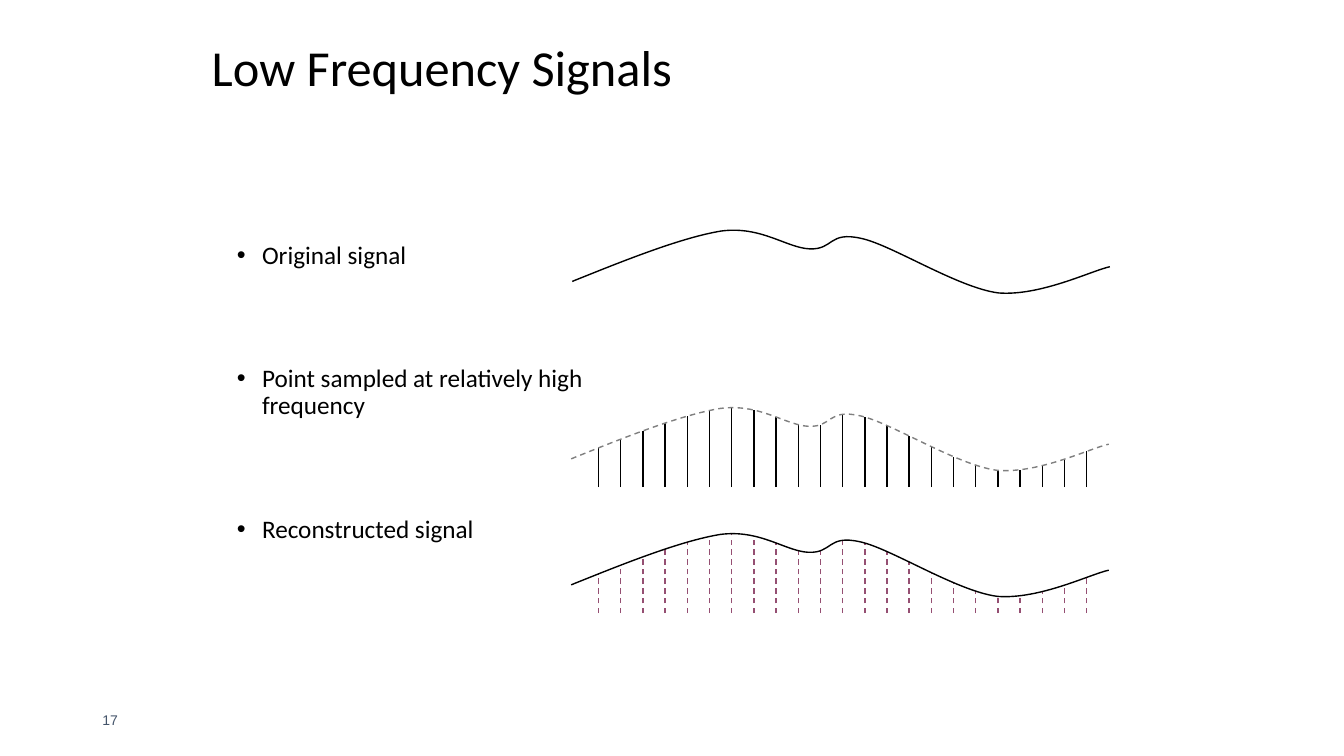
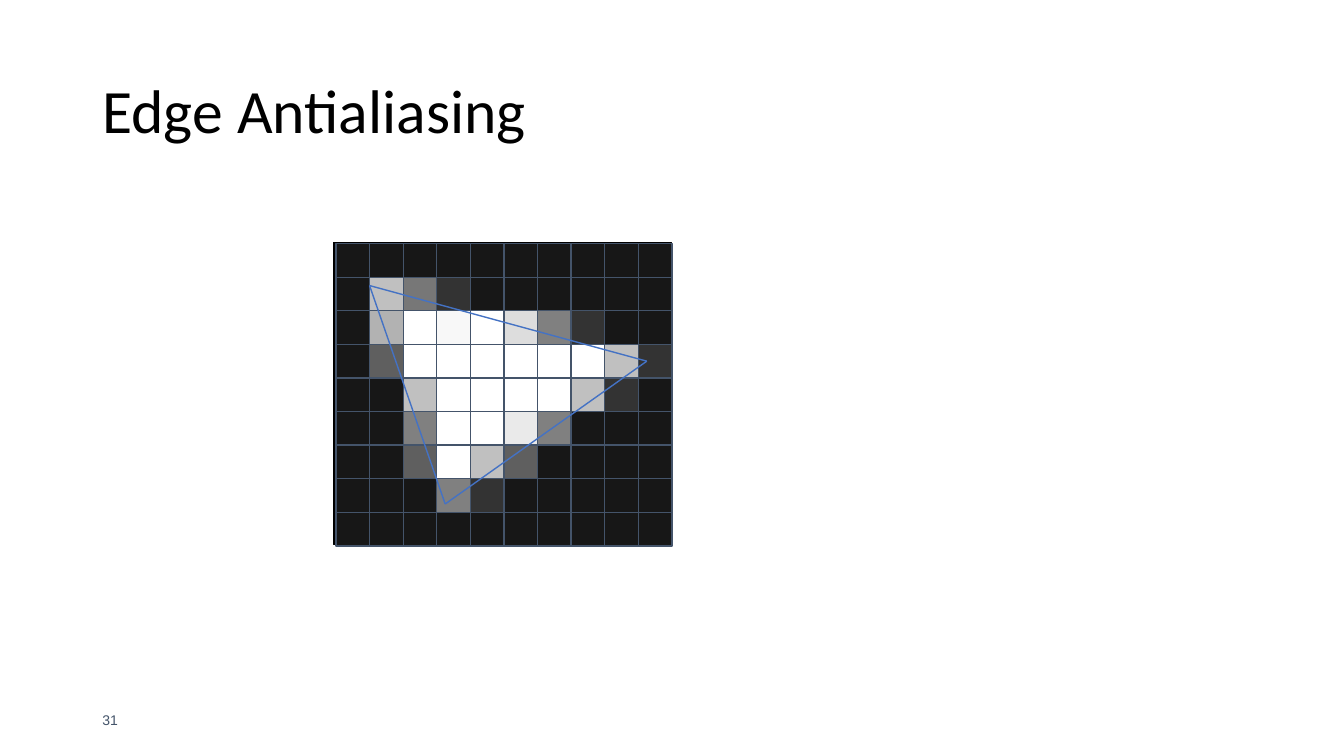
from dataclasses import dataclass
from itertools import chain, combinations, pairwise

from lxml import etree
from pptx import Presentation
from pptx.dml.color import RGBColor
from pptx.enum.dml import MSO_LINE
from pptx.enum.shapes import MSO_CONNECTOR, MSO_SHAPE
from pptx.enum.text import MSO_ANCHOR, MSO_AUTO_SIZE, PP_ALIGN
from pptx.oxml.ns import qn
from pptx.util import Emu, Pt

PX = 9525
LEFT = PP_ALIGN.LEFT
MIDDLE, TOP = MSO_ANCHOR.MIDDLE, MSO_ANCHOR.TOP
NO_AUTOFIT = MSO_AUTO_SIZE.NONE
DASH = MSO_LINE.DASH
RECTANGLE = MSO_SHAPE.RECTANGLE
STRAIGHT = MSO_CONNECTOR.STRAIGHT


@dataclass(frozen=True)
class Theme:
    font: str = "Calibri"
    number_font: str = "Arial"
    ink: str = "000000"
    slate: str = "44546A"
    guide: str = "808080"
    sample: str = "954F72"
    edge: str = "4472C4"
    pixel_off: str = "171717"
    body_size: int = 18
    number_size: int = 10
    line_spacing: float = 0.9
    body_gap: float = 68.7


THEME = Theme()

SLIDE_SIZE = (1280, 720)
NUMBER_BOX = (88, 667, 288, 38)
TITLE_AND_BODY, TITLE_ONLY = 1, 5

SIGNALS = {
    "title": "Low Frequency Signals",
    "title_box": (192, 30, 880, 74),
    "title_size": 36,
    "number": "17",
}
BULLETS = [
    "Original signal",
    "Point sampled at relatively high frequency",
    "Reconstructed signal",
]
BULLET_BOX = (216, 226, 373, 454)
BULLET_INDENT = 24

WAVE_START = (0, 53)
WAVE_CURVES = [
    ((52, 32), (105, 11), (142, 5)),
    ((180, 0), (204, 21), (226, 22)),
    ((249, 23), (244, 5), (275, 12)),
    ((304, 18), (367, 59), (406, 64)),
    ((446, 67), (494, 43), (512, 39)),
]
CURVE_STEPS = 24
WAVES = [
    {"origin": (545, 215), "color": THEME.ink},
    {"origin": (544, 384), "color": THEME.guide, "dash": DASH,
     "stems": {"color": THEME.ink}},
    {"origin": (544, 504), "color": THEME.ink,
     "stems": {"color": THEME.sample, "dash": DASH}},
]
STEM_COUNT, STEM_FIRST, STEM_LAST, STEM_BASE = 23, 26, 491, 80

ANTIALIASING = {
    "title": "Edge Antialiasing",
    "title_box": (88, 38, 1104, 140),
    "title_size": 44,
    "number": "31",
}
GRID_LEFT, GRID_TOP = 320, 232
COLUMNS, ROWS, CELL = 10, 9, 32
BACKDROP_BOX = (318, 231, 322, 288)
PIXEL_ROWS = {
    1: (1, "C0 77 33"),
    2: (1, "B2 FF F8 FF DD 80 33"),
    3: (1, "5F FF FF FF FF FF FF C0 33"),
    4: (2, "C0 FF FF FF FF C0 33"),
    5: (2, "80 FF FF EA 80"),
    6: (2, "5F FF C0 5F"),
    7: (3, "80 33"),
}
TRIANGLE = [(352, 272), (616, 344), (424, 480)]


def px(length):
    return Emu(round(length * PX))


def rgb(color):
    return RGBColor.from_string(color)


def place(shape, box):
    shape.left, shape.top, shape.width, shape.height = map(px, box)


def style_line(line, color, dash=None, width=1):
    line.color.rgb = rgb(color)
    line.width = Pt(width)
    if dash:
        line.dash_style = dash


def style_frame(frame, anchor):
    frame.word_wrap = True
    frame.auto_size = NO_AUTOFIT
    frame.vertical_anchor = anchor


def style_paragraph(paragraph, size, font=THEME.font, color=THEME.ink):
    paragraph.alignment = LEFT
    paragraph.font.size = Pt(size)
    paragraph.font.name = font
    paragraph.font.color.rgb = rgb(color)


def add_bullet(paragraph):
    properties = paragraph._p.get_or_add_pPr()
    properties.set("marL", str(px(BULLET_INDENT)))
    properties.set("indent", str(-px(BULLET_INDENT)))
    etree.SubElement(properties, qn("a:buFont"), typeface="Arial")
    etree.SubElement(properties, qn("a:buChar"), char="•")


def add_line(slide, start, end, color, dash=None):
    connector = slide.shapes.add_connector(STRAIGHT, *map(px, (*start, *end)))
    style_line(connector.line, color, dash)
    etree.SubElement(connector._element.spPr, qn("a:effectLst"))


def add_rectangle(slide, box, fill, line=None, width=1):
    shape = slide.shapes.add_shape(RECTANGLE, *map(px, box))
    shape.shadow.inherit = False
    shape.fill.solid()
    shape.fill.fore_color.rgb = rgb(fill)
    if line:
        style_line(shape.line, line, width=width)
    else:
        shape.line.fill.background()


def add_slide(presentation, layout, content):
    slide = presentation.slides.add_slide(presentation.slide_layouts[layout])
    title = slide.shapes.title
    place(title, content["title_box"])
    title.text_frame.text = content["title"]
    style_frame(title.text_frame, MIDDLE)
    paragraph = title.text_frame.paragraphs[0]
    style_paragraph(paragraph, content["title_size"])
    paragraph.line_spacing = THEME.line_spacing

    number = slide.shapes.add_textbox(*map(px, NUMBER_BOX)).text_frame
    number.text = content["number"]
    style_frame(number, MIDDLE)
    style_paragraph(number.paragraphs[0], THEME.number_size, THEME.number_font, THEME.slate)
    return slide


def add_bullets(slide):
    body = slide.placeholders[1]
    place(body, BULLET_BOX)
    frame = body.text_frame
    frame.text = "\n".join(BULLETS)
    style_frame(frame, TOP)
    for index, paragraph in enumerate(frame.paragraphs):
        paragraph.line_spacing = THEME.line_spacing
        paragraph.space_before = Pt(THEME.body_gap if index else 0)
        add_bullet(paragraph)
        style_paragraph(paragraph, THEME.body_size)


def bezier(values, t):
    a, b, c, d = values
    u = 1 - t
    return a * u**3 + 3 * b * u * u * t + 3 * c * u * t * t + d * t**3


def wave_points():
    points = [WAVE_START]
    for curve in WAVE_CURVES:
        xs, ys = zip(points[-1], *curve)
        steps = [step / CURVE_STEPS for step in range(1, CURVE_STEPS + 1)]
        points += [(bezier(xs, t), bezier(ys, t)) for t in steps]
    return points


def height_at(points, x):
    for (x1, y1), (x2, y2) in pairwise(points):
        if x1 <= x <= x2:
            return y1 + (y2 - y1) * (x - x1) / (x2 - x1)


def bend_segments(shape):
    segments = list(shape._element.iter(qn("a:lnTo")))
    for first in range(0, len(segments), 3):
        curve = etree.Element(qn("a:cubicBezTo"))
        segments[first].addprevious(curve)
        for segment in segments[first:first + 3]:
            curve.append(segment[0])
            segment.getparent().remove(segment)


def add_stems(slide, points, origin, style):
    left, top = origin
    gap = (STEM_LAST - STEM_FIRST) / (STEM_COUNT - 1)
    for index in range(STEM_COUNT):
        x = STEM_FIRST + index * gap
        add_line(slide, (left + x, top + STEM_BASE),
                 (left + x, top + height_at(points, x)), **style)


def add_wave(slide, origin, color, dash=None):
    left, top = origin
    outline = [(px(left + x), px(top + y)) for x, y in chain([WAVE_START], *WAVE_CURVES)]
    builder = slide.shapes.build_freeform(*outline[0])
    builder.add_line_segments(outline[1:], close=False)
    wave = builder.convert_to_shape()
    bend_segments(wave)
    wave.shadow.inherit = False
    wave.fill.background()
    style_line(wave.line, color, dash)


def build_signals(presentation):
    slide = add_slide(presentation, TITLE_AND_BODY, SIGNALS)
    add_bullets(slide)
    points = wave_points()
    for wave in WAVES:
        if "stems" in wave:
            add_stems(slide, points, wave["origin"], wave["stems"])
        add_wave(slide, wave["origin"], wave["color"], wave.get("dash"))


def build_antialiasing(presentation):
    slide = add_slide(presentation, TITLE_ONLY, ANTIALIASING)
    width, height = COLUMNS * CELL, ROWS * CELL
    right, bottom = GRID_LEFT + width, GRID_TOP + height
    add_rectangle(slide, BACKDROP_BOX, THEME.ink, THEME.ink, 0.75)
    add_rectangle(slide, (GRID_LEFT, GRID_TOP, width, height), THEME.pixel_off, THEME.slate)
    for row, (first, shades) in PIXEL_ROWS.items():
        for column, shade in enumerate(shades.split(), first):
            box = (GRID_LEFT + column * CELL, GRID_TOP + row * CELL, CELL, CELL)
            add_rectangle(slide, box, shade * 3)
    for row in range(ROWS + 1):
        y = GRID_TOP + row * CELL
        add_line(slide, (GRID_LEFT, y), (right, y), THEME.slate)
    for column in range(COLUMNS + 1):
        x = GRID_LEFT + column * CELL
        add_line(slide, (x, GRID_TOP), (x, bottom), THEME.slate)
    for start, end in combinations(TRIANGLE, 2):
        add_line(slide, start, end, THEME.edge)


def main():
    presentation = Presentation()
    presentation.slide_width, presentation.slide_height = map(px, SLIDE_SIZE)
    build_signals(presentation)
    build_antialiasing(presentation)
    presentation.save("out.pptx")


if __name__ == "__main__":
    main()
